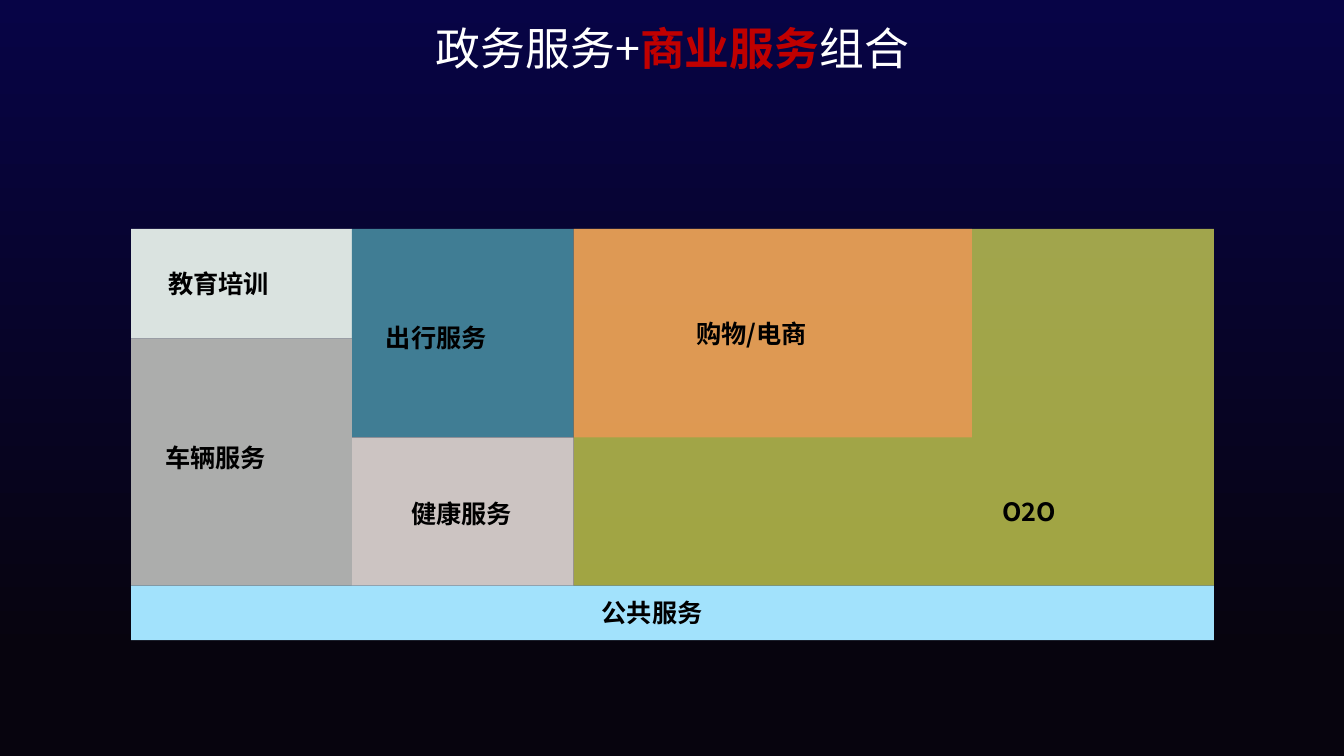
from pptx import Presentation
from pptx import util as u
from pptx.dml.color import RGBColor
from pptx.enum import shapes, text
from pptx.oxml.ns import qn
from lxml import etree

FONT = "Noto Sans CJK SC"
WHITE = RGBColor(0xFF, 0xFF, 0xFF)
BLACK = RGBColor(0, 0, 0)
RED = RGBColor(0xC0, 0, 0)
NAVY = RGBColor(0x07, 0x04, 0x46)
NIGHT = RGBColor(0x07, 0x04, 0x0E)
LIME = RGBColor(0xE3, 0xEA, 0x58)
MIST = RGBColor(0xDA, 0xE3, 0xE0)
TEAL = RGBColor(0x40, 0x7D, 0x94)
ROSE = RGBColor(0xCC, 0xC4, 0xC2)
GREY = RGBColor(0xAC, 0xAD, 0xAC)
PEACH = RGBColor(0xF8, 0x94, 0x58)
SKY = RGBColor(0xA2, 0xE2, 0xFC)

# Content: title parts as (text, colour, bold)
TITLE = [("政务服务+", WHITE, False), ("商业服务", RED, True), ("组合", WHITE, False)]

# Edges shared by the service blocks, in inches
X1, X2, X3, X4, X5 = 1.3, 3.49, 5.69, 9.64, 12.04
Y1, Y2, Y3, Y4, Y5 = 2.27, 3.36, 4.34, 5.81, 6.35

# Blocks: left, top, right, bottom, colour, opacity %, label, label left, top, width
BLOCKS = [
    (X3, Y1, X5, Y4, LIME, 70, "O2O", 9.84, 4.87, 0.77),
    (X1, Y1, X2, Y2, MIST, 100, "教育培训", 1.57, 2.61, 1.74),
    (X2, Y1, X3, Y3, TEAL, 100, "出行服务", 3.73, 3.15, 1.74),
    (X2, Y3, X3, Y4, ROSE, 100, "健康服务", 3.98, 4.89, 1.23),
    (X1, Y2, X2, Y4, GREY, 100, "车辆服务", 1.54, 4.34, 1.7),
    (X3, Y1, X4, Y3, PEACH, 70, "购物/电商", 6.81, 3.11, 1.33),
    (X1, Y4, X5, Y5, SKY, 100, "公共服务", 5.87, 5.88, 1.21),
]


def style(run, size, color, bold):
    run.font.size = u.Pt(size)
    run.font.bold = bold
    run.font.color.rgb = color
    run.font.name = FONT
    east = etree.SubElement(run.font._element, qn("a:ea"))
    east.set("typeface", FONT)


def block(left, top, right, bottom, color, alpha):
    rect = slide.shapes.add_shape(
        shapes.MSO_SHAPE.RECTANGLE, u.Inches(left), u.Inches(top),
        u.Inches(right - left), u.Inches(bottom - top))
    rect.shadow.inherit = False
    rect.line.fill.background()
    rect.fill.solid()
    rect.fill.fore_color.rgb = color
    if alpha < 100:
        tone = rect._element.spPr.find(qn("a:solidFill"))[0]
        etree.SubElement(tone, qn("a:alpha")).set("val", str(alpha * 1000))


def label(words, left, top, width):
    box = slide.shapes.add_textbox(
        u.Inches(left), u.Inches(top), u.Inches(width), u.Inches(0.4))
    frame = box.text_frame
    frame.word_wrap = True
    frame.text = words
    style(frame.paragraphs[0].runs[0], 18, BLACK, True)


deck = Presentation()
deck.slide_width, deck.slide_height = u.Inches(13.33), u.Inches(7.5)
slide = deck.slides.add_slide(deck.slide_layouts[5])

# Background gradient, top to bottom
back = slide.background.fill
back.gradient()
back.gradient_angle = 270
for stop, color, place in zip(back.gradient_stops, (NAVY, NIGHT), (0, 0.87)):
    stop.color.rgb = color
    stop.position = place

# Title
title = slide.shapes.title
title.left, title.top = u.Inches(0.89), u.Inches(0.16)
title.width, title.height = u.Inches(11.56), u.Inches(0.7)
frame = title.text_frame
frame.auto_size = text.MSO_AUTO_SIZE.NONE
frame.vertical_anchor = text.MSO_ANCHOR.MIDDLE
para = frame.paragraphs[0]
para.alignment = text.PP_ALIGN.CENTER
para.line_spacing = 0.9
for words, color, bold in TITLE:
    run = para.add_run()
    run.text = words
    style(run, 32, color, bold)

# Service blocks, then their labels on top
for item in BLOCKS:
    block(*item[:6])
for item in BLOCKS:
    label(*item[6:])

deck.save("out.pptx")
